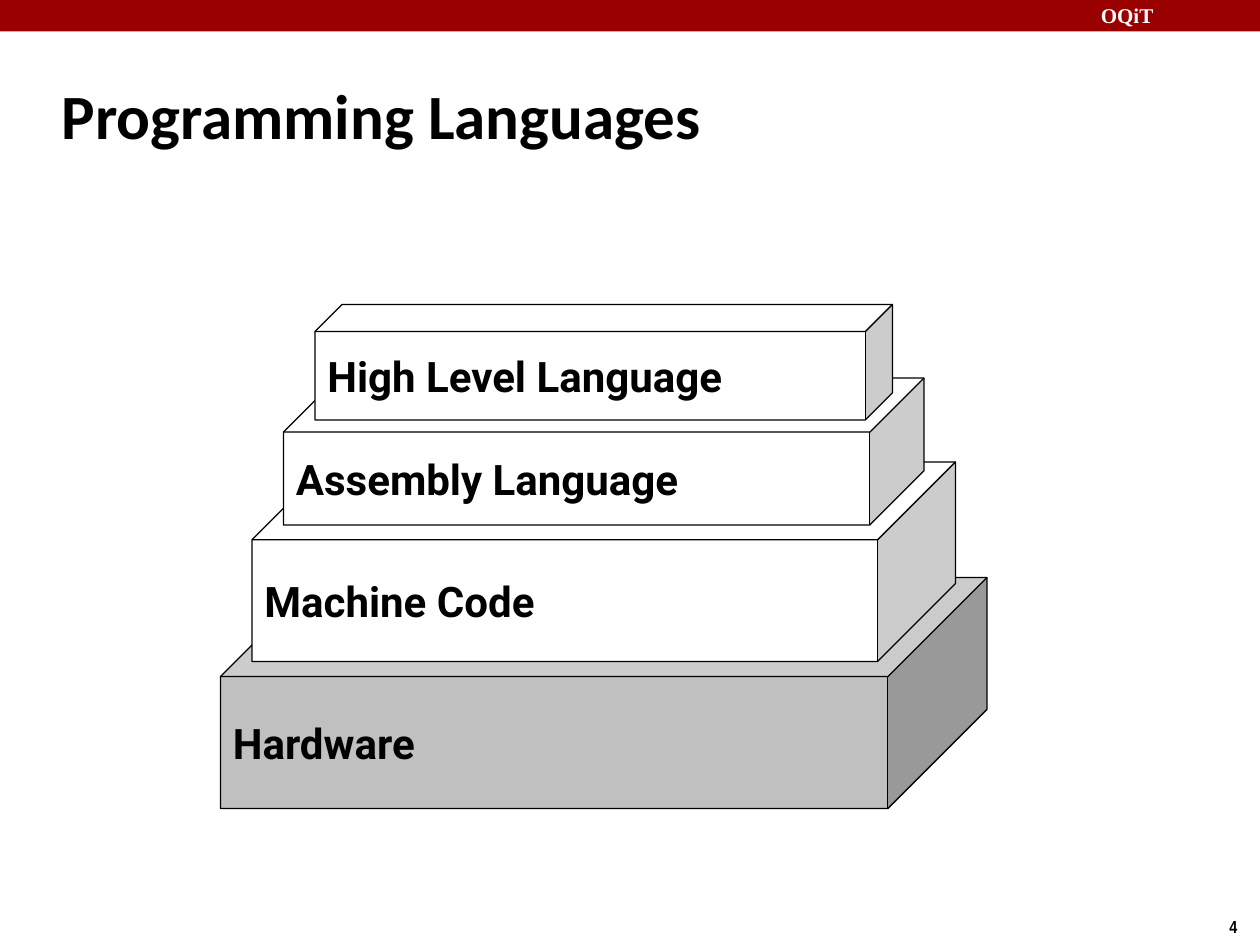
from pptx import Presentation
from pptx.dml.color import RGBColor
from pptx.enum.shapes import MSO_SHAPE as Shape
from pptx.enum.text import MSO_ANCHOR as Anchor, MSO_AUTO_SIZE as Auto, PP_ALIGN as Align
from pptx.util import Pt


def write(shape, text, size, font, color="000000", wrap=True, anchor=Anchor.MIDDLE):
    """Fill a shape with one bold, left-aligned line."""
    frame = shape.text_frame
    frame.text = text
    look = {"word_wrap": wrap, "auto_size": Auto.NONE, "vertical_anchor": anchor}
    for name, value in look.items():
        setattr(frame, name, value)
    line = frame.paragraphs[0]
    line.alignment = Align.LEFT
    style = {"size": Pt(size), "name": font, "bold": True}
    for name, value in style.items():
        setattr(line.runs[0].font, name, value)
    line.runs[0].font.color.rgb = RGBColor.from_string(color)


def block(kind, left, top, width, height, fill):
    """Add a flat shape without shadow."""
    shape = slide.shapes.add_shape(kind, Pt(left), Pt(top), Pt(width), Pt(height))
    shape.shadow.inherit = False
    shape.fill.solid()
    shape.fill.fore_color.rgb = RGBColor.from_string(fill)
    return shape


deck = Presentation()
deck.slide_width, deck.slide_height = Pt(720), Pt(540)
slide = deck.slides.add_slide(deck.slide_layouts[5])

# Header band and page number
band = block(Shape.RECTANGLE, 0, 0, 720, 18, "990000")
band.line.fill.background()
brand = slide.shapes.add_textbox(Pt(622), Pt(-2), Pt(103), Pt(21.6))
write(brand, "OQiT", 12, "Times New Roman", "FFFFFF", anchor=Anchor.TOP)
page = slide.shapes.add_textbox(Pt(695.5), Pt(520), Pt(24.5), Pt(19.4))
write(page, "4", 10, "Arial Narrow", wrap=False, anchor=Anchor.TOP)

# Title
title = slide.shapes.title
place = {"left": 28, "top": 35.3, "width": 597.6, "height": 59.8}
for name, value in place.items():
    setattr(title, name, Pt(value))
write(title, "Programming Languages", 36, "Calibri")

# Stack of layers, bottom first; each is inset by a fixed step on both sides
layers = [
    ("Hardware", 330, 132, 0.429, "C0C0C0"),
    ("Machine Code", 264, 114, 0.39, "FFFFFF"),
    ("Assembly Language", 216, 84, 0.368, "FFFFFF"),
    ("High Level Language", 174, 66, 0.235, "FFFFFF"),
]
step = 18
for i, (text, top, height, depth, fill) in enumerate(layers):
    cube = block(Shape.CUBE, 126 + step * i, top, 438 - 2 * step * i, height, fill)
    cube.adjustments[0] = depth
    cube.line.color.rgb = RGBColor.from_string("000000")
    cube.line.width = Pt(0.75)
    write(cube, text, 24, "Roboto", wrap=False)

deck.save("out.pptx")
